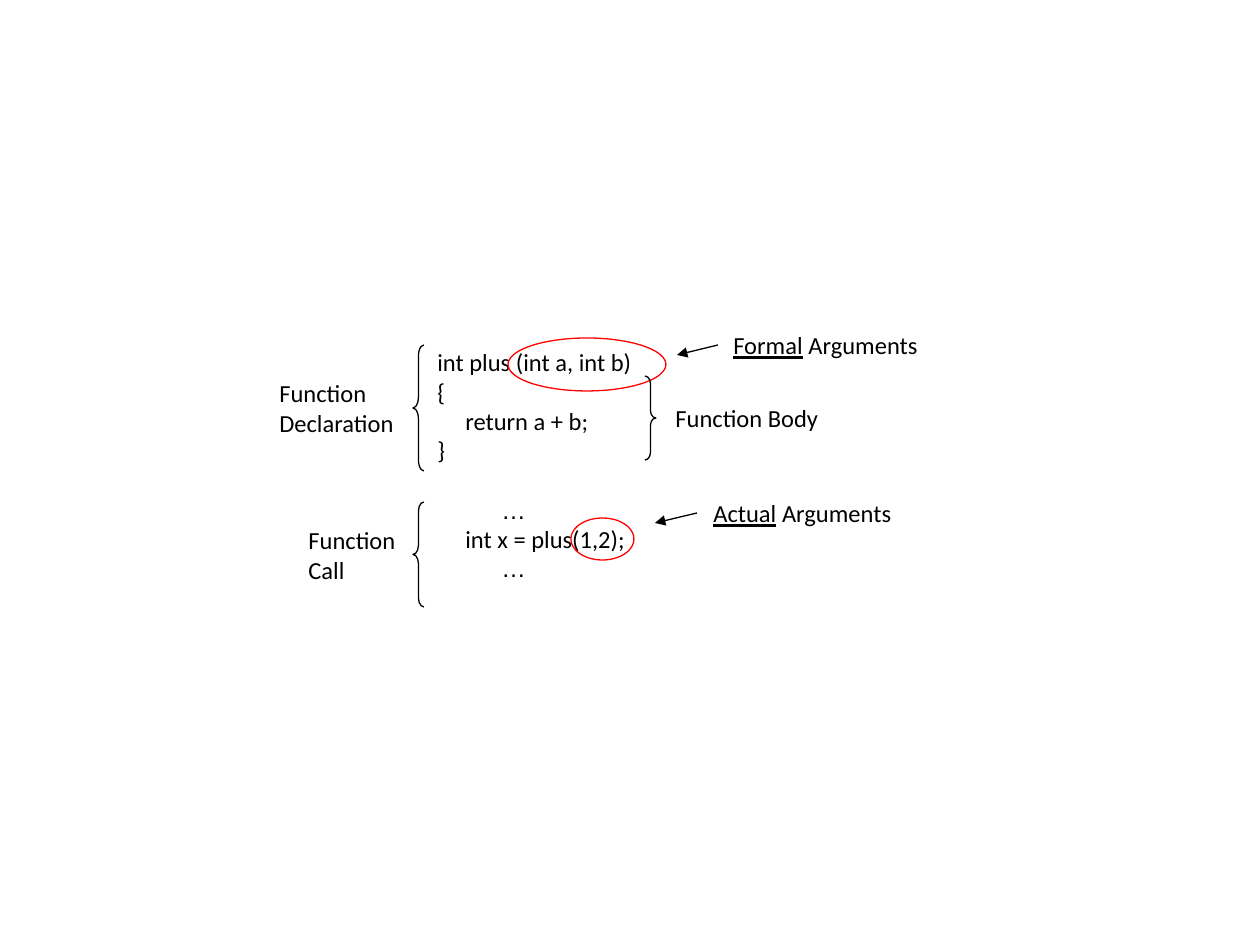
from dataclasses import dataclass

from lxml.etree import SubElement
from pptx import Presentation
from pptx.dml.color import RGBColor
from pptx.enum.shapes import MSO_CONNECTOR, MSO_SHAPE as Preset
from pptx.enum.text import MSO_AUTO_SIZE, PP_ALIGN
from pptx.oxml.ns import qn
from pptx.util import Emu, Pt

PX = 914400 // 126  # one pixel in EMU
COLORS = {"ink": "000000", "highlight": "FF0000"}
LINE_WIDTH = Pt(0.75)
FONT_SIZE = Pt(14)
BODY_INDENT, ELLIPSIS_INDENT = 28, 64


@dataclass(frozen=True)
class Box:
    left: int
    top: int
    width: int
    height: int

    def emu(self) -> list[Emu]:
        return [Emu(n * PX) for n in (self.left, self.top, self.width, self.height)]


@dataclass(frozen=True)
class CodeLine:
    text: str
    indent: int = 0
    space_before: int = 0
    font: str = "Calibri"


@dataclass(frozen=True)
class Brace:
    preset: Preset
    box: Box
    label: str
    label_box: Box


@dataclass(frozen=True)
class Callout:
    ellipse: Box
    arrow_start: tuple[int, int]
    arrow_end: tuple[int, int]
    underlined: str
    label_box: Box


CODE = [
    CodeLine("int plus (int a, int b)"),
    CodeLine("{"),
    CodeLine("return a + b;", BODY_INDENT),
    CodeLine("}"),
    CodeLine("…", ELLIPSIS_INDENT, 17, "Arial"),
    CodeLine("int x = plus(1,2);", BODY_INDENT),
    CodeLine("…", ELLIPSIS_INDENT, font="Arial"),
]
CALLOUTS = [
    Callout(Box(508, 338, 158, 53), (718, 345), (677, 355),
            "Formal", Box(721, 324, 212, 43)),
    Callout(Box(571, 518, 63, 42), (697, 513), (655, 523),
            "Actual", Box(701, 492, 205, 43)),
]
BRACES = [
    Brace(Preset.LEFT_BRACE, Box(413, 345, 11, 126),
          "Function\nDeclaration", Box(267, 372, 150, 72)),
    Brace(Preset.LEFT_BRACE, Box(413, 502, 11, 105),
          "Function\nCall", Box(296, 519, 120, 72)),
    Brace(Preset.RIGHT_BRACE, Box(645, 376, 11, 84),
          "Function Body", Box(663, 397, 181, 42)),
]


def color(name: str) -> RGBColor:
    return RGBColor.from_string(COLORS[name])


def add_text(slide, box: Box, text: str):
    frame = slide.shapes.add_textbox(*box.emu()).text_frame
    frame.word_wrap = False
    frame.auto_size = MSO_AUTO_SIZE.SHAPE_TO_FIT_TEXT
    frame.text = text
    for paragraph in frame.paragraphs:
        paragraph.alignment = PP_ALIGN.LEFT
        for run in paragraph.runs:
            style_run(run)
    return frame


def style_run(run, font: str = "Calibri") -> None:
    run.font.name = font
    run.font.size = FONT_SIZE
    run.font.color.rgb = color("ink")


def add_outline(slide, preset: Preset, box: Box, line_color: str):
    shape = slide.shapes.add_shape(preset, *box.emu())
    shape.shadow.inherit = False
    shape.fill.background()
    shape.line.color.rgb = color(line_color)
    shape.line.width = LINE_WIDTH
    return shape


def add_arrow(slide, start: tuple[int, int], end: tuple[int, int]) -> None:
    points = [Emu(n * PX) for n in start + end]
    arrow = slide.shapes.add_connector(MSO_CONNECTOR.STRAIGHT, *points)
    arrow.line.color.rgb = color("ink")
    arrow.line.width = LINE_WIDTH
    properties = arrow.element.spPr
    SubElement(properties.find(qn("a:ln")), qn("a:tailEnd"), type="triangle")
    SubElement(properties, qn("a:effectLst"))


def add_code(slide, box: Box, lines: list[CodeLine]) -> None:
    frame = add_text(slide, box, "\n".join(line.text for line in lines))
    for paragraph, line in zip(frame.paragraphs, lines):
        paragraph.space_before = Pt(line.space_before)
        style_run(paragraph.runs[0], line.font)
        paragraph._p.get_or_add_pPr().set("marL", str(line.indent * PX))


def add_callout(slide, callout: Callout) -> None:
    add_outline(slide, Preset.OVAL, callout.ellipse, "highlight")
    add_arrow(slide, callout.arrow_start, callout.arrow_end)
    label = add_text(slide, callout.label_box, callout.underlined)
    label.paragraphs[0].runs[0].font.underline = True
    noun = label.paragraphs[0].add_run()
    noun.text = " Arguments"
    style_run(noun)


def add_brace(slide, brace: Brace) -> None:
    outline = add_outline(slide, brace.preset, brace.box, "ink")
    # The curl grows with the height of the brace
    outline.adjustments[0] = round(brace.box.height / 126, 2)
    add_text(slide, brace.label_box, brace.label)


deck = Presentation()
deck.slide_width, deck.slide_height = Emu(1260 * PX), Emu(945 * PX)
slide = deck.slides.add_slide(deck.slide_layouts[6])

# Code sample
add_code(slide, Box(425, 341, 239, 276), CODE)

# Circled arguments
for callout in CALLOUTS:
    add_callout(slide, callout)

# Bracketed parts of the function
for brace in BRACES:
    add_brace(slide, brace)

deck.save("out.pptx")
